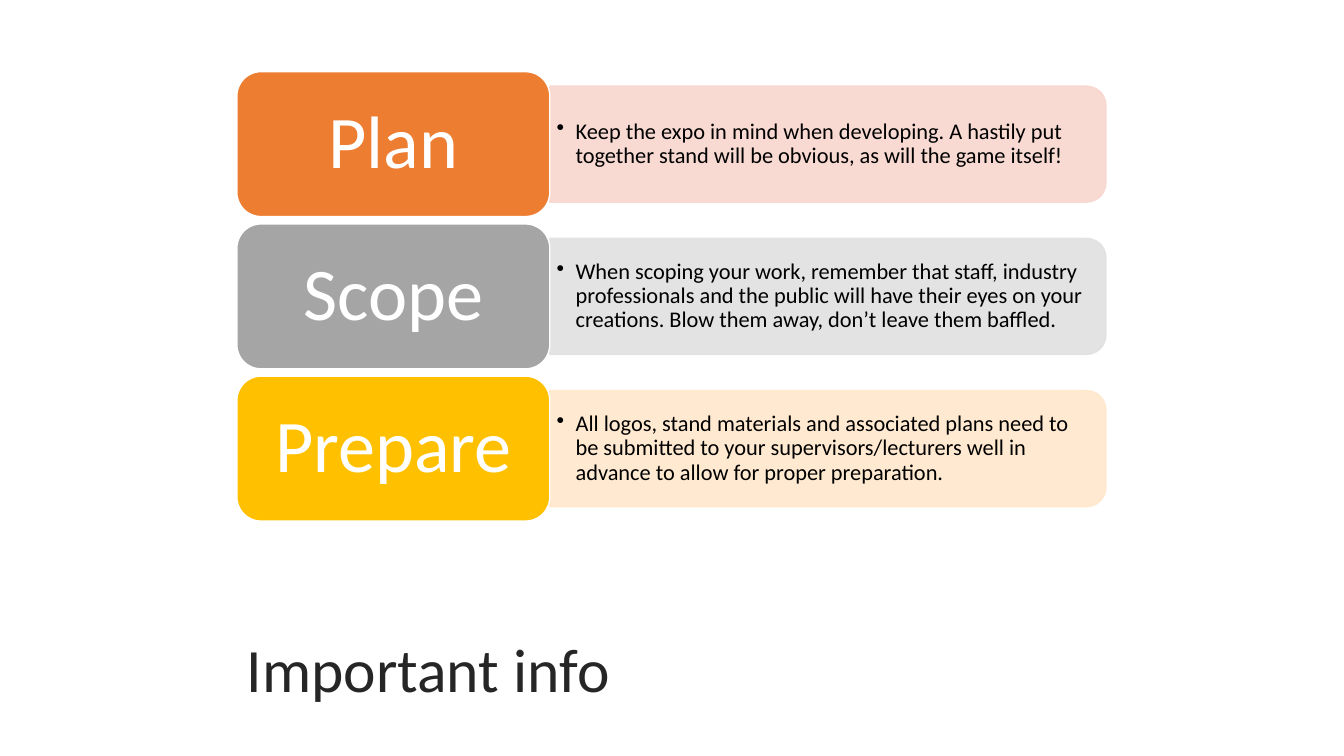
import dataclasses
import typing

import lxml.etree
import pptx
import pptx.dml.color
import pptx.enum.shapes
import pptx.enum.text
import pptx.oxml.ns
import pptx.util

Pt = pptx.util.Pt
KIND = pptx.enum.shapes.MSO_SHAPE
ALIGN = pptx.enum.text.PP_ALIGN


@dataclasses.dataclass
class Step:
    name: str
    note: str
    dark: str
    light: str


STEPS = [
    Step("Plan", "Keep the expo in mind when developing. A hastily put together "
         "stand will be obvious, as will the game itself!", "ED7D31", "F8D7CE"),
    Step("Scope", "When scoping your work, remember that staff, industry professionals "
         "and the public will have their eyes on your creations. Blow them away, "
         "don’t leave them baffled.", "A5A5A5", "E1E1E1"),
    Step("Prepare", "All logos, stand materials and associated plans need to be submitted "
         "to your supervisors/lecturers well in advance to allow for proper "
         "preparation.", "FFC000", "FFE8CC"),
]

# Layout in points
LEFT, TOP, PITCH = 169.2, 51.2, 108.75
CARD_W, CARD_H = 223.5, 103.5
BAND_W, BAND_H = 397.3, 82.8
NOTE_W, NOTE_H = 393, 74.8


def color(code: str) -> pptx.dml.color.RGBColor:
    return pptx.dml.color.RGBColor.from_string(code)


def fade(shape: typing.Any, percent: int) -> None:
    """Make the fill and line partly transparent."""
    for node in shape._element.spPr.iter(pptx.oxml.ns.qn("a:srgbClr")):
        alpha = lxml.etree.SubElement(node, pptx.oxml.ns.qn("a:alpha"))
        alpha.set("val", str(percent * 1000))


def block(slide: typing.Any, kind: typing.Any, box: tuple, fill: str, line: str) -> typing.Any:
    shape = slide.shapes.add_shape(kind, *map(Pt, box))
    shape.shadow.inherit = False
    shape.fill.solid()
    shape.fill.fore_color.rgb = color(fill)
    shape.line.color.rgb = color(line)
    shape.line.width = Pt(1)
    return shape


def write(shape: typing.Any, text: str, size: float, ink: str, align: typing.Any,
          pad: tuple) -> typing.Any:
    frame = shape.text_frame
    frame.text = text
    frame.word_wrap = True
    frame.vertical_anchor = pptx.enum.text.MSO_ANCHOR.MIDDLE
    frame.margin_left = frame.margin_right = Pt(pad[0])
    frame.margin_top = frame.margin_bottom = Pt(pad[1])
    para = frame.paragraphs[0]
    para.alignment = align
    para.line_spacing = 0.9
    font = para.runs[0].font
    font.name, font.size = "Calibri", Pt(size)
    font.color.rgb = color(ink)
    return para


def bullet(para: typing.Any, indent: float) -> None:
    props = para._p.get_or_add_pPr()
    props.set("marL", str(Pt(indent)))
    props.set("indent", str(-Pt(indent)))
    mark = lxml.etree.SubElement(props, pptx.oxml.ns.qn("a:buChar"))
    mark.set("char", "•")


def draw(slide: typing.Any, step: Step, top: float) -> None:
    mid = top + CARD_H / 2
    edge = LEFT + CARD_W

    # Band, turned so its round corners face right
    center = edge + BAND_W / 2
    box = (center - BAND_H / 2, mid - BAND_W / 2, BAND_H, BAND_W)
    band = block(slide, KIND.ROUND_2_SAME_RECTANGLE, box, step.light, step.light)
    band.rotation = 90
    fade(band, 90)

    # Note on the band
    note = slide.shapes.add_textbox(*map(Pt, (edge, mid - NOTE_H / 2, NOTE_W, NOTE_H)))
    bullet(write(note, step.note, 16, "000000", ALIGN.LEFT, (5, 2.5)), 13.5)

    # Card with the step name
    card = block(slide, KIND.ROUNDED_RECTANGLE, (LEFT, top, CARD_W, CARD_H),
                 step.dark, "FFFFFF")
    write(card, step.name, 53, "FFFFFF", ALIGN.CENTER, (15, 8))


deck = pptx.Presentation()
deck.slide_width, deck.slide_height = Pt(960), Pt(540)
slide = deck.slides.add_slide(deck.slide_layouts[6])

# Title
title = slide.shapes.add_textbox(*map(Pt, (LEFT, 435.6, 477.4, 90)))
write(title, "Important info", 44, "262626", ALIGN.LEFT, (7.2, 3.6))

# Steps
for row, step in enumerate(STEPS):
    draw(slide, step, TOP + row * PITCH)

deck.save("out.pptx")
